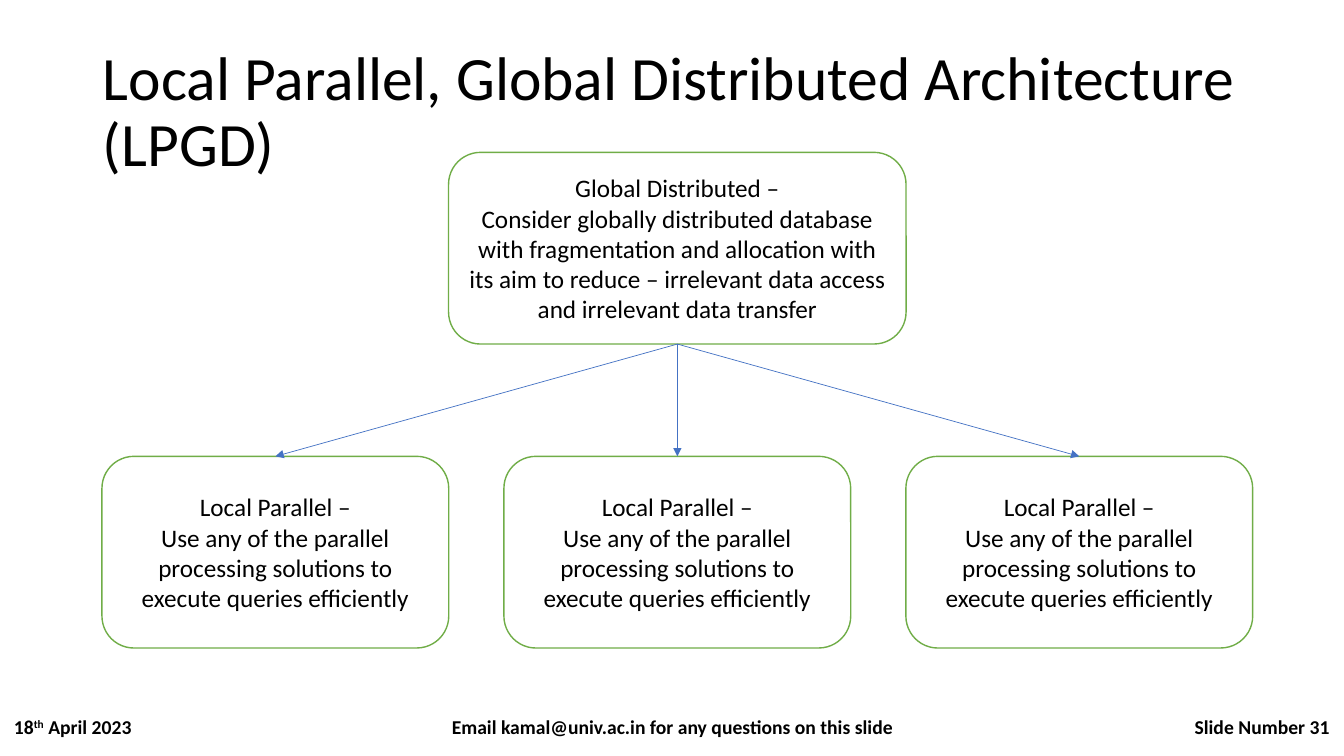
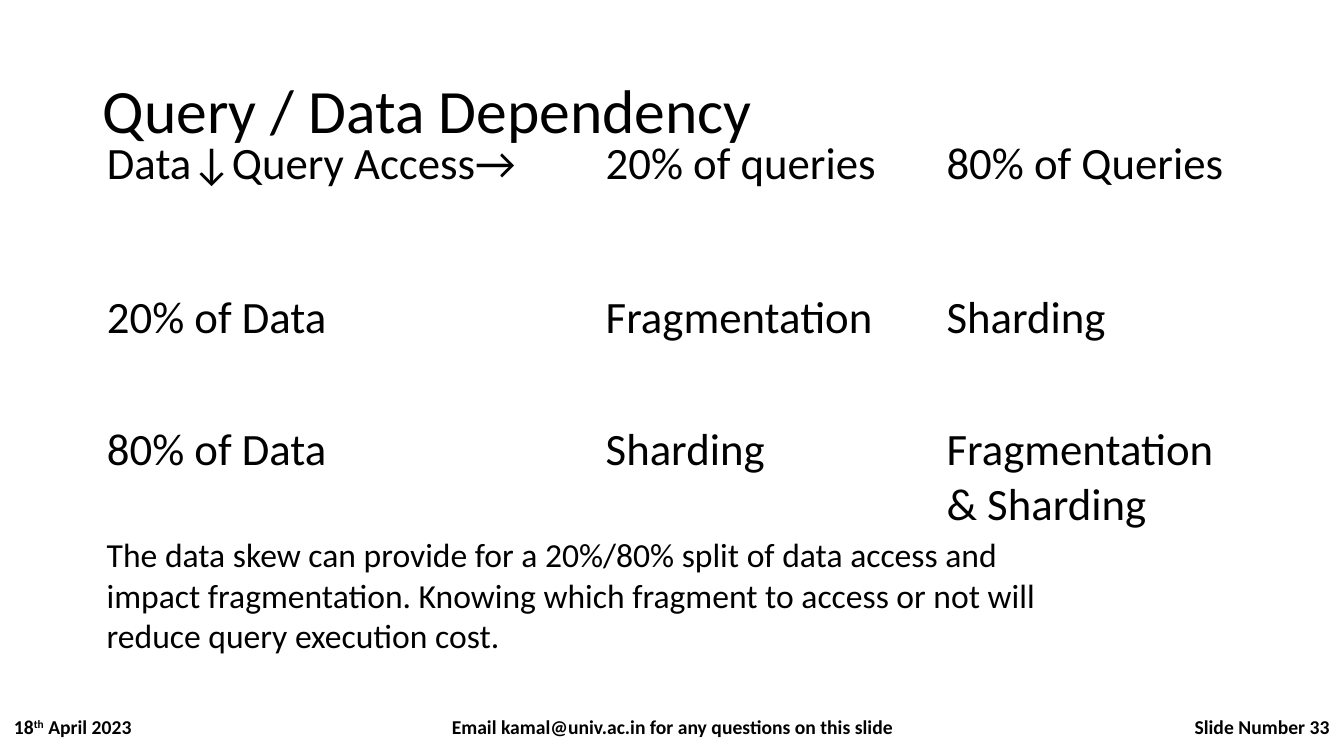
from lxml.etree import SubElement
from pptx import Presentation
from pptx.dml.color import RGBColor
from pptx.enum.shapes import MSO_CONNECTOR, MSO_SHAPE
from pptx.enum.text import MSO_ANCHOR, MSO_AUTO_SIZE, PP_ALIGN
from pptx.oxml.ns import qn
from pptx.util import Cm, Pt


def color(hex_string):
    return RGBColor.from_string(hex_string)


class Deck:
    FONT = "Calibri"
    TEXT = "000000"
    BACKGROUND = "FFFFFF"
    BOX_LINE = "70AD47"
    ARROW = "4472C4"
    PLAIN_TABLE = "{2D5ABB26-0587-4C30-8999-92F81FD0307C}"  # no style, no grid
    BOTTOM, TOP = 2, 0  # connection sites of a rectangle

    def __init__(self):
        self.presentation = Presentation()
        self.presentation.slide_width = Cm(33.87)
        self.presentation.slide_height = Cm(19.05)
        self.slide = None

    def add_run(self, paragraph, text, size, bold=False, superscript=False):
        run = paragraph.add_run()
        run.text = text
        run.font.name = self.FONT
        run.font.size = Pt(size)
        run.font.bold = bold
        run.font.color.rgb = color(self.TEXT)
        if superscript:
            run.font._element.set("baseline", "30000")

    def new_slide(self, title, number):
        layout = self.presentation.slide_layouts[5]
        self.slide = self.presentation.slides.add_slide(layout)
        shape = self.slide.shapes.title
        shape.left, shape.top = Cm(2.34), Cm(1.02)
        shape.width, shape.height = Cm(29.2), Cm(3.68)
        frame = shape.text_frame
        frame.auto_size = MSO_AUTO_SIZE.NONE
        frame.vertical_anchor = MSO_ANCHOR.MIDDLE
        paragraph = frame.paragraphs[0]
        paragraph.alignment = PP_ALIGN.LEFT
        paragraph.line_spacing = 0.9
        self.add_run(paragraph, title, 44)
        self.footer(number)

    def text_box(self, left, top, width, height, alignment=PP_ALIGN.LEFT):
        shape = self.slide.shapes.add_textbox(Cm(left), Cm(top), Cm(width), Cm(height))
        shape.text_frame.word_wrap = True
        paragraph = shape.text_frame.paragraphs[0]
        paragraph.alignment = alignment
        return paragraph

    def footer(self, number):
        top, height, size = 17.88, 1.02, 14
        date = self.text_box(0.1, top, 7.62, height)
        self.add_run(date, "18", size, bold=True)
        self.add_run(date, "th", size, bold=True, superscript=True)
        self.add_run(date, " April 2023", size, bold=True)
        contact = self.text_box(10.2, top, 13.5, height, PP_ALIGN.CENTER)
        self.add_run(contact, "Email kamal@univ.ac.in for any questions on this slide",
                     size, bold=True)
        page = self.text_box(26.14, top, 7.62, height, PP_ALIGN.RIGHT)
        self.add_run(page, f"Slide Number {number}", size, bold=True)

    def box(self, left, top, width, height, lines):
        shape = self.slide.shapes.add_shape(
            MSO_SHAPE.ROUNDED_RECTANGLE, Cm(left), Cm(top), Cm(width), Cm(height))
        shape.shadow.inherit = False
        shape.fill.solid()
        shape.fill.fore_color.rgb = color(self.BACKGROUND)
        shape.line.color.rgb = color(self.BOX_LINE)
        shape.line.width = Pt(1)
        frame = shape.text_frame
        frame.word_wrap = True
        frame.vertical_anchor = MSO_ANCHOR.MIDDLE
        for index, line in enumerate(lines):
            paragraph = frame.add_paragraph() if index else frame.paragraphs[0]
            paragraph.alignment = PP_ALIGN.CENTER
            self.add_run(paragraph, line, 18)
        return shape

    def arrow_down(self, upper, lower):
        connector = self.slide.shapes.add_connector(MSO_CONNECTOR.STRAIGHT, 0, 0, 0, 0)
        connector.begin_connect(upper, self.BOTTOM)
        connector.end_connect(lower, self.TOP)
        connector.line.color.rgb = color(self.ARROW)
        connector.line.width = Pt(0.5)
        properties = connector._element.spPr
        SubElement(properties.find(qn("a:ln")), qn("a:tailEnd"), type="triangle")
        SubElement(properties, qn("a:effectLst"))

    def table(self, left, top, column_widths, row_heights, rows):
        table = self.slide.shapes.add_table(
            len(rows), len(column_widths), Cm(left), Cm(top),
            Cm(sum(column_widths)), Cm(sum(row_heights))).table
        table.first_row = table.horz_banding = False
        # Without a grid, the top border cannot cut into the title
        table._tbl.tblPr.find(qn("a:tableStyleId")).text = self.PLAIN_TABLE
        for column, width in zip(table.columns, column_widths):
            column.width = Cm(width)
        for row, height, texts in zip(table.rows, row_heights, rows):
            row.height = Cm(height)
            for cell, text in zip(row.cells, texts):
                cell.fill.background()
                self.add_run(cell.text_frame.paragraphs[0], text, 32)


def architecture_slide(deck):
    deck.new_slide("Local Parallel, Global Distributed Architecture (LPGD)", 31)
    box_height = 4.83

    # Three equal boxes below, one box centred above them
    local_left, local_width, gap = 2.57, 8.74, 1.39
    global_width = 11.53
    center = local_left + 1.5 * local_width + gap
    local_boxes = [
        deck.box(local_left + index * (local_width + gap), 11.5, local_width, box_height,
                 ["Local Parallel –",
                  "Use any of the parallel processing solutions to execute "
                  "queries efficiently"])
        for index in range(3)
    ]
    global_box = deck.box(
        center - global_width / 2, 3.84, global_width, box_height,
        ["Global Distributed –",
         "Consider globally distributed database with fragmentation and allocation "
         "with its aim to reduce – irrelevant data access and irrelevant data transfer"])

    # Arrows from the global box to each local box
    for local_box in local_boxes:
        deck.arrow_down(global_box, local_box)


def dependency_slide(deck):
    deck.new_slide("Query / Data Dependency", 33)
    left = 2.44

    # Query access against data
    deck.table(left, 3.33, [12.57, 8.59, 7.85], [3.86, 3.35, 3.86], [
        ["Data↓Query Access→", "20% of queries", "80% of Queries"],
        ["20% of Data", "Fragmentation", "Sharding"],
        ["80% of Data", "Sharding", "Fragmentation & Sharding"],
    ])

    # Conclusion
    conclusion = deck.text_box(left, 13.34, 24.92, 3.33)
    deck.add_run(conclusion,
                 "The data skew can provide for a 20%/80% split of data access and impact "
                 "fragmentation. Knowing which fragment to access or not will reduce "
                 "query execution cost.", 24)


def main():
    deck = Deck()
    architecture_slide(deck)
    dependency_slide(deck)
    deck.presentation.save("out.pptx")


if __name__ == "__main__":
    main()
